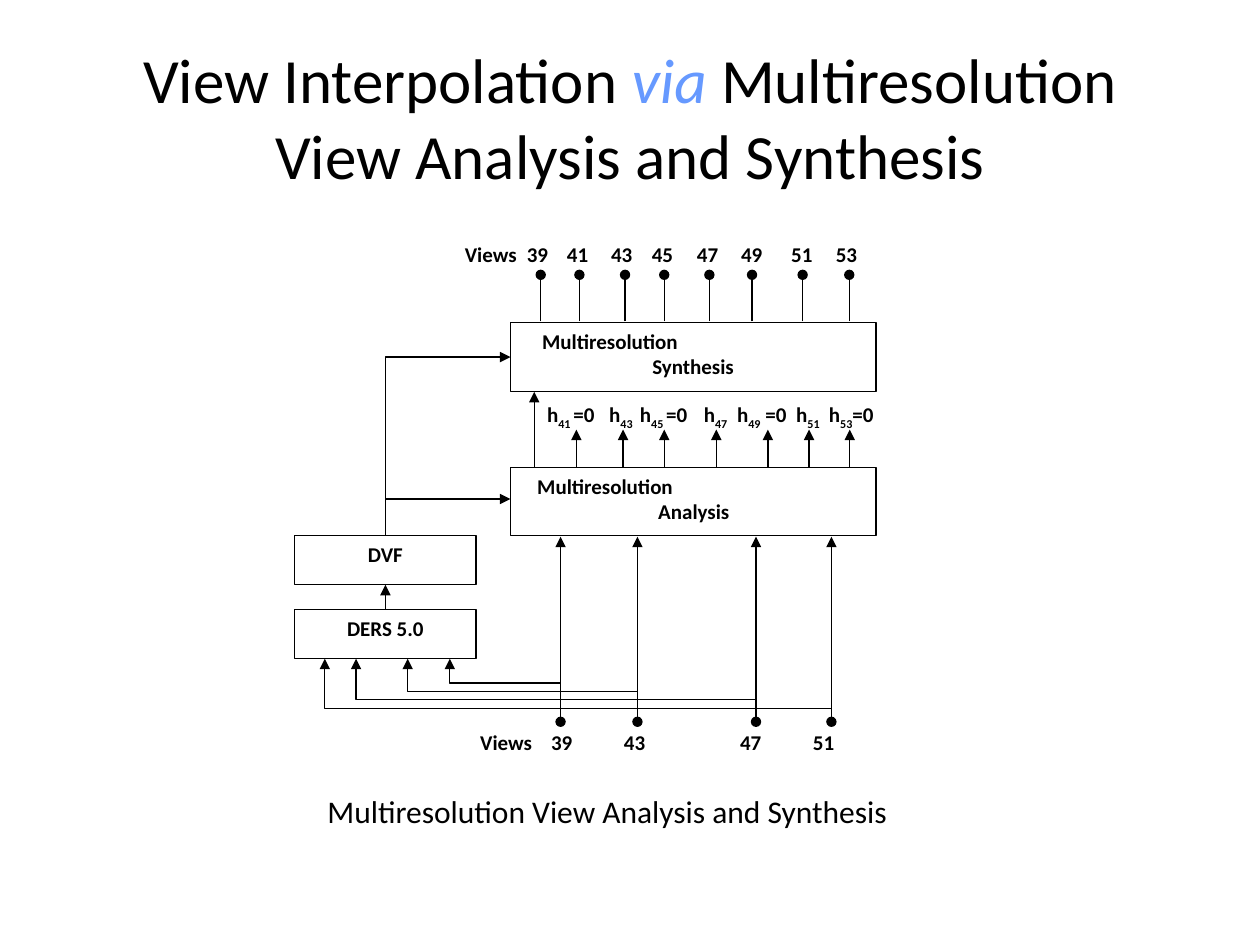
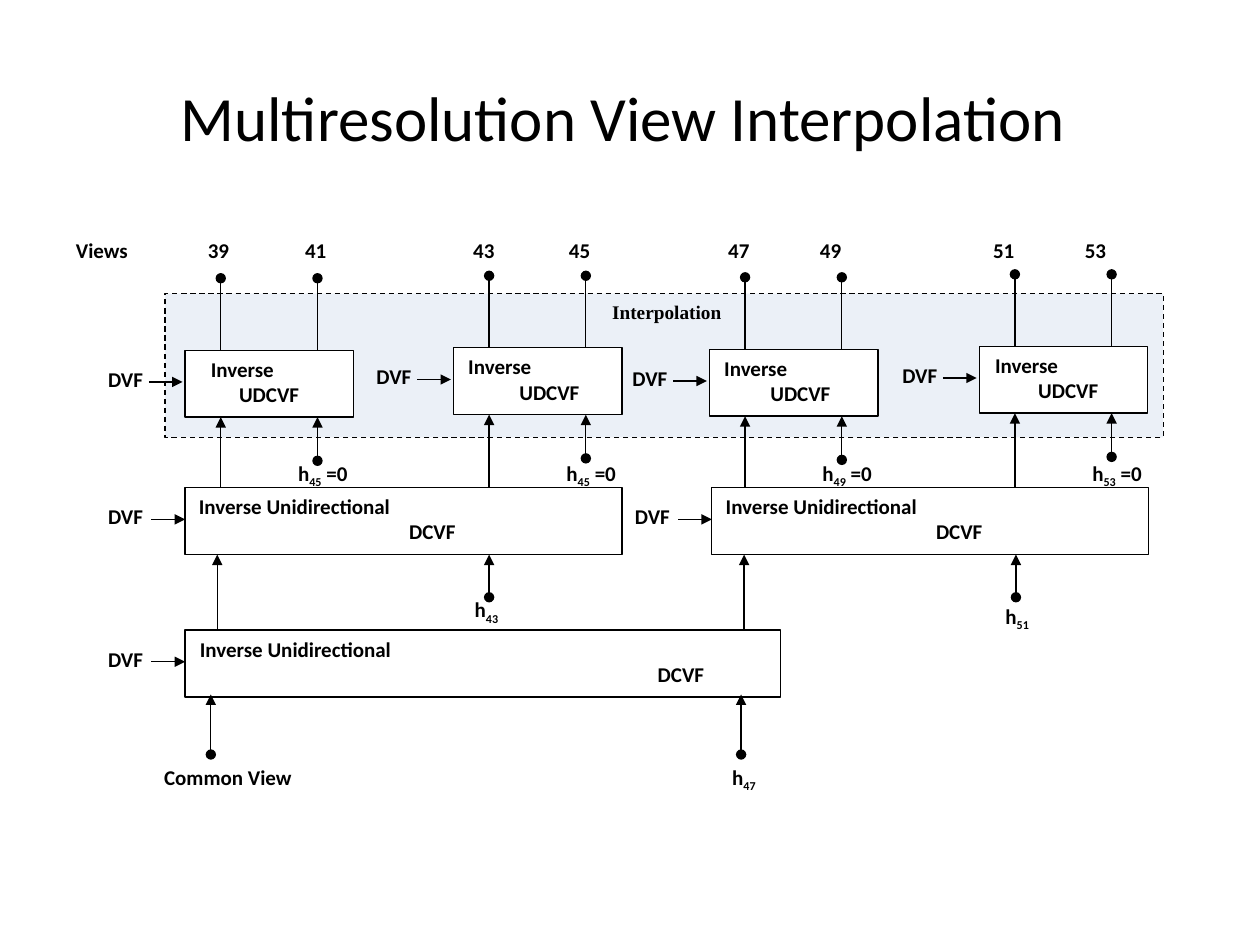
from dataclasses import dataclass
from typing import Any

from lxml.etree import SubElement
from pptx import Presentation
from pptx.dml.color import RGBColor
from pptx.enum.dml import MSO_LINE_DASH_STYLE as Dash
from pptx.enum.shapes import MSO_CONNECTOR as Connector
from pptx.enum.shapes import MSO_SHAPE as Preset
from pptx.enum.text import MSO_ANCHOR as Anchor
from pptx.enum.text import PP_ALIGN as Align
from pptx.oxml.ns import qn
from pptx.util import Cm, Pt

BLACK = RGBColor(0x00, 0x00, 0x00)
WHITE = RGBColor(0xFF, 0xFF, 0xFF)
ACCENT = RGBColor(0x66, 0x99, 0xFF)
REGION_BLUE = RGBColor(0x95, 0xB3, 0xD7)

TITLE_FONT = {"name": "Calibri", "size": Pt(36), "bold": False}
CAPTION_FONT = {"name": "Calibri", "size": Pt(18), "bold": False}
LABEL_FONT = {"name": "Calibri", "size": Pt(12), "bold": True}
REGION_FONT = {"name": "Times New Roman", "size": Pt(11), "bold": True}
INSET = 0.25
LINE_WIDTH = Pt(0.75)


@dataclass(frozen=True)
class Area:
    left: float
    top: float
    width: float
    height: float

    def lengths(self) -> tuple:
        return Cm(self.left), Cm(self.top), Cm(self.width), Cm(self.height)


@dataclass(frozen=True)
class Line:
    text: str
    indent: float = 0


@dataclass(frozen=True)
class Filter:
    area: Area
    lines: tuple
    arrow_gap: float = 0


def apply(target: Any, values: dict) -> None:
    for attribute, value in values.items():
        setattr(target, attribute, value)


def add_run(paragraph: Any, text: str, font: dict, color: RGBColor = BLACK) -> Any:
    run = paragraph.add_run()
    run.text = text
    apply(run.font, font)
    run.font.color.rgb = color
    return run


def add_marked_text(paragraph: Any, text: str, font: dict) -> None:
    for index, part in enumerate(text.split("~")):
        if part:
            run = add_run(paragraph, part, font)
            if index % 2:
                run.font._element.set("baseline", "-25000")


def add_title(slide: Any, *parts: tuple) -> None:
    title = slide.shapes.title
    apply(title, dict(zip(("left", "top", "width", "height"),
                          Area(1.27, 0.76, 22.86, 3.18).lengths())))
    title.text_frame.vertical_anchor = Anchor.MIDDLE
    paragraph = title.text_frame.paragraphs[0]
    paragraph.alignment = Align.CENTER
    for text, color in parts:
        add_run(paragraph, text, TITLE_FONT, color).font.italic = color == ACCENT


def add_label(slide: Any, area: Area, text: str, font: dict = LABEL_FONT,
              wrap: bool = True) -> Any:
    label = slide.shapes.add_textbox(*area.lengths())
    label.text_frame.word_wrap = wrap
    paragraph = label.text_frame.paragraphs[0]
    add_marked_text(paragraph, text, font)
    return paragraph


def add_label_row(slide: Any, area: Area, entries: dict) -> None:
    paragraph = add_label(slide, area, "".join(f"\t{text}" for text in entries))
    stops = SubElement(paragraph._p.get_or_add_pPr(), qn("a:tabLst"))
    for position in entries.values():
        offset = Cm(position - area.left - INSET)
        SubElement(stops, qn("a:tab"), pos=str(offset), algn="l")


def add_box(slide: Any, area: Area, lines: tuple, align: Any = Align.LEFT,
            font: dict = LABEL_FONT) -> Any:
    box = slide.shapes.add_shape(Preset.RECTANGLE, *area.lengths())
    box.shadow.inherit = False
    box.fill.solid()
    box.fill.fore_color.rgb = WHITE
    box.line.color.rgb = BLACK
    box.line.width = LINE_WIDTH
    frame = box.text_frame
    apply(frame, {"word_wrap": True, "vertical_anchor": Anchor.TOP})
    for index, line in enumerate(lines):
        paragraph = frame.add_paragraph() if index else frame.paragraphs[0]
        paragraph.alignment = align
        paragraph._p.get_or_add_pPr().set("marL", str(Cm(line.indent)))
        add_run(paragraph, line.text, font)
    return box


def add_link(slide: Any, start: tuple, end: tuple, head: str = "none",
             tail: str = "triangle", bend: int | None = None) -> None:
    kind = Connector.STRAIGHT if bend is None else Connector.ELBOW
    link = slide.shapes.add_connector(kind, *(Cm(value) for value in start + end))
    link.line.color.rgb = BLACK
    link.line.width = LINE_WIDTH
    properties = link._element.spPr
    outline = link.line._get_or_add_ln()
    SubElement(outline, qn("a:headEnd"), type=head)
    SubElement(outline, qn("a:tailEnd"), type=tail)
    SubElement(properties, qn("a:effectLst"))
    if bend is not None:
        guides = properties.find(qn("a:prstGeom")).get_or_add_avLst()
        SubElement(guides, qn("a:gd"), name="adj1", fmla=f"val {bend}")


def add_filter(slide: Any, unit: Filter) -> None:
    area = unit.area
    add_box(slide, area, unit.lines)
    tip = area.left - unit.arrow_gap
    height = area.top + 0.64
    add_link(slide, (tip - 0.68, height), (tip, height))
    add_label(slide, Area(area.left - 1.8, area.top + 0.2, 1.45, 0.84), "DVF")


def build_overview(slide: Any) -> None:
    add_title(slide, ("View Interpolation ", BLACK), ("via ", ACCENT),
              ("Multiresolution View Analysis and Synthesis", BLACK))
    add_label_row(slide, Area(8.84, 4.75, 9.17, 0.76), {
        "Views": 9.37, "39": 10.62, "41": 11.43, "43": 12.32, "45": 13.14,
        "47": 14.05, "49": 14.94, "51": 15.95, "53": 16.85})

    inputs = ((11.3, 9.07), (12.85, 8.22), (15.24, 7.18), (16.76, 6.55))
    for index, (view, estimator) in enumerate(inputs):
        add_link(slide, (view, 14.55), (view, 10.82), head="oval")
        add_link(slide, (view, 13.77 + 0.17 * index), (estimator, 13.28),
                 bend=100000)
    for output in (10.9, 11.68, 12.6, 13.39, 14.3, 15.16, 16.18, 17.12):
        add_link(slide, (output, 6.48), (output, 5.54), tail="oval")

    add_box(slide, Area(10.29, 6.5, 7.37, 1.4),
            (Line("Multiresolution", 0.39), Line("Synthesis", 2.61)))
    add_box(slide, Area(10.29, 9.42, 7.37, 1.37),
            (Line("Multiresolution", 0.29), Line("Analysis", 2.73)))
    for text, top in (("DERS 5.0", 12.29), ("DVF", 10.8)):
        add_box(slide, Area(5.94, top, 3.66, 0.99), (Line(text),), Align.CENTER)

    add_link(slide, (7.77, 10.8), (10.29, 7.2), bend=0)
    add_link(slide, (7.77, 10.06), (10.29, 10.06))
    add_link(slide, (7.77, 12.29), (7.77, 11.79))
    add_link(slide, (10.77, 9.42), (10.77, 7.9))
    for coefficient in (11.62, 12.56, 13.39, 14.44, 15.48, 16.31, 17.13):
        add_link(slide, (coefficient, 9.42), (coefficient, 8.66))

    add_label_row(slide, Area(10.77, 7.98, 8.08, 0.84), {
        "h~41 ~=0": 11.03, "h~43~": 12.28, "h~45 ~=0": 12.9, "h~47~": 14.19,
        "h~49~ =0": 14.86, "h~51~": 16.05, "h~53~=0": 16.71})
    add_label_row(slide, Area(8.38, 14.58, 9.93, 0.89), {
        "Views": 9.68, "39": 11.11, "43": 12.58, "47": 14.92, "51": 16.39})
    add_label(slide, Area(6.35, 15.85, 11.94, 1.02),
              "Multiresolution View Analysis and Synthesis", CAPTION_FONT, False)


def build_interpolation(slide: Any) -> None:
    add_title(slide, ("Multiresolution View Interpolation ", BLACK))
    region = add_box(slide, Area(3.33, 5.92, 20.12, 2.9),
                     (Line("Interpolation", 8.76),), font=REGION_FONT)
    region.fill.fore_color.rgb = REGION_BLUE
    region.line.dash_style = Dash.DASH
    tint = region._element.spPr.find(qn("a:solidFill"))[0]
    SubElement(tint, qn("a:alpha"), val="19000")

    add_label_row(slide, Area(1.19, 4.67, 22.28, 1.6), {
        "Views": 1.53, "39": 4.19, "41": 6.15, "43": 9.54, "45": 11.47,
        "47": 14.68, "49": 16.53, "51": 20.02, "53": 21.87})

    fine_filters = ((3.73, 7.06, 0.27, 0.84, "45"), (9.14, 7.01, 0.05, 1.08, "45"),
                    (14.3, 7.04, 0.05, 0.98, "49"), (19.74, 6.98, 0.07, 0.94, "53"))
    for left, top, first, second, zero in fine_filters:
        bottom = top + 1.35
        low, high = left + 0.72, left + 2.67
        for output in (low, high):
            add_link(slide, (output, top), (output, top - 1.45), tail="oval")
        add_link(slide, (low, 9.83), (low, bottom))
        add_link(slide, (high, top + 2.23), (high, bottom), head="oval")
        add_filter(slide, Filter(Area(left, top, 3.4, 1.35),
                                 (Line("Inverse", first), Line("UDCVF", second)), 0.05))
        add_label(slide, Area(left + 2.03, 9.16, 1.78, 0.76), f"h~{zero}~ =0")

    coarse_filters = ((3.73, "43", 9.32, 11.91), (14.35, "51", 20.02, 12.04))
    for left, detail, label_left, label_top in coarse_filters:
        low, high = left + 0.65, left + 6.13
        add_link(slide, (low, 12.7), (low, 11.18))
        add_link(slide, (high, 12.04), (high, 11.18), head="oval")
        add_filter(slide, Filter(Area(left, 9.83, 8.81, 1.35),
                                 (Line("Inverse Unidirectional", 0.03),
                                  Line("DCVF", 4.27))))
        add_label(slide, Area(label_left, label_top, 1.88, 0.8), f"h~{detail}~")

    add_filter(slide, Filter(Area(3.73, 12.7, 12.01, 1.35),
                             (Line("Inverse Unidirectional", 0.05),
                              Line("DCVF", 9.28))))
    for source in (4.25, 14.94):
        add_link(slide, (source, 15.21), (source, 14), head="oval")
    add_label_row(slide, Area(2.87, 15.29, 14, 1.37),
                  {"Common View": 3.31, "h~47~": 14.76})


def main() -> None:
    deck = Presentation()
    apply(deck, {"slide_width": Cm(25.4), "slide_height": Cm(19.05)})
    title_only = deck.slide_layouts[5]
    for build in (build_overview, build_interpolation):
        build(deck.slides.add_slide(title_only))
    deck.save("out.pptx")


main()
